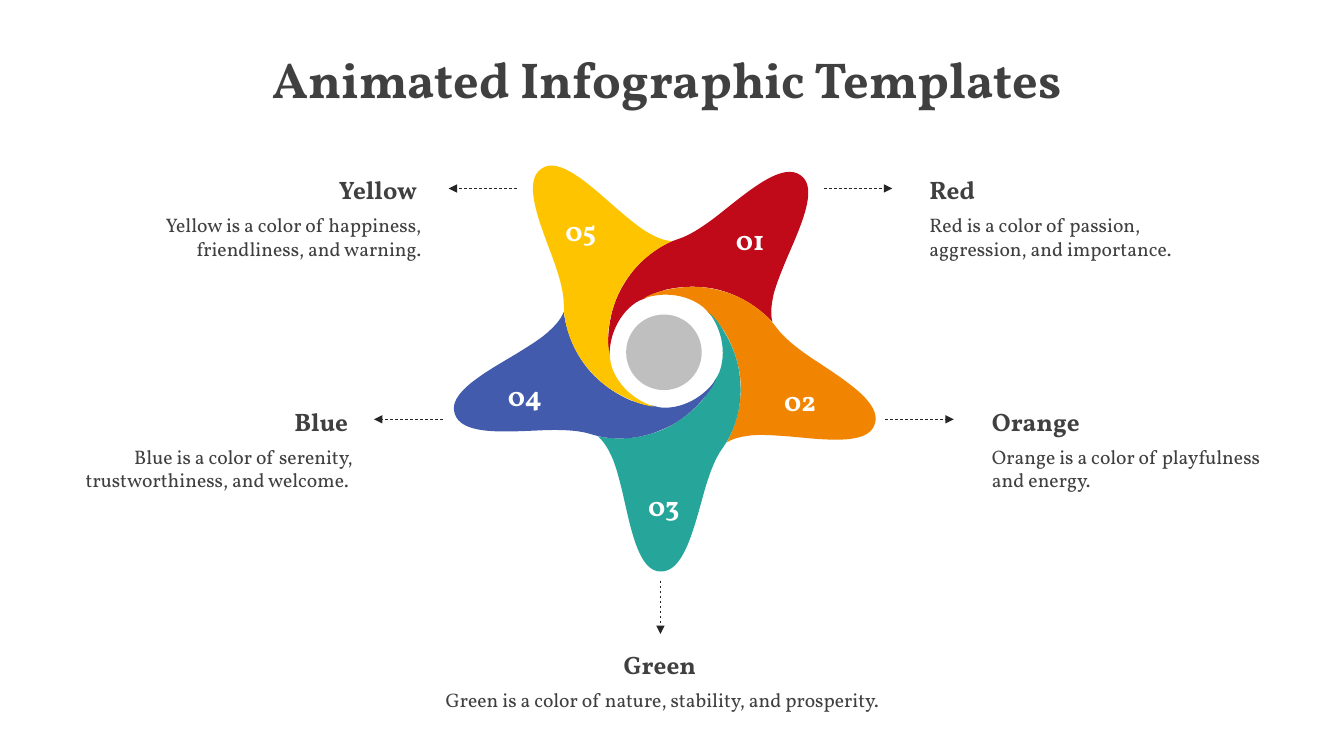
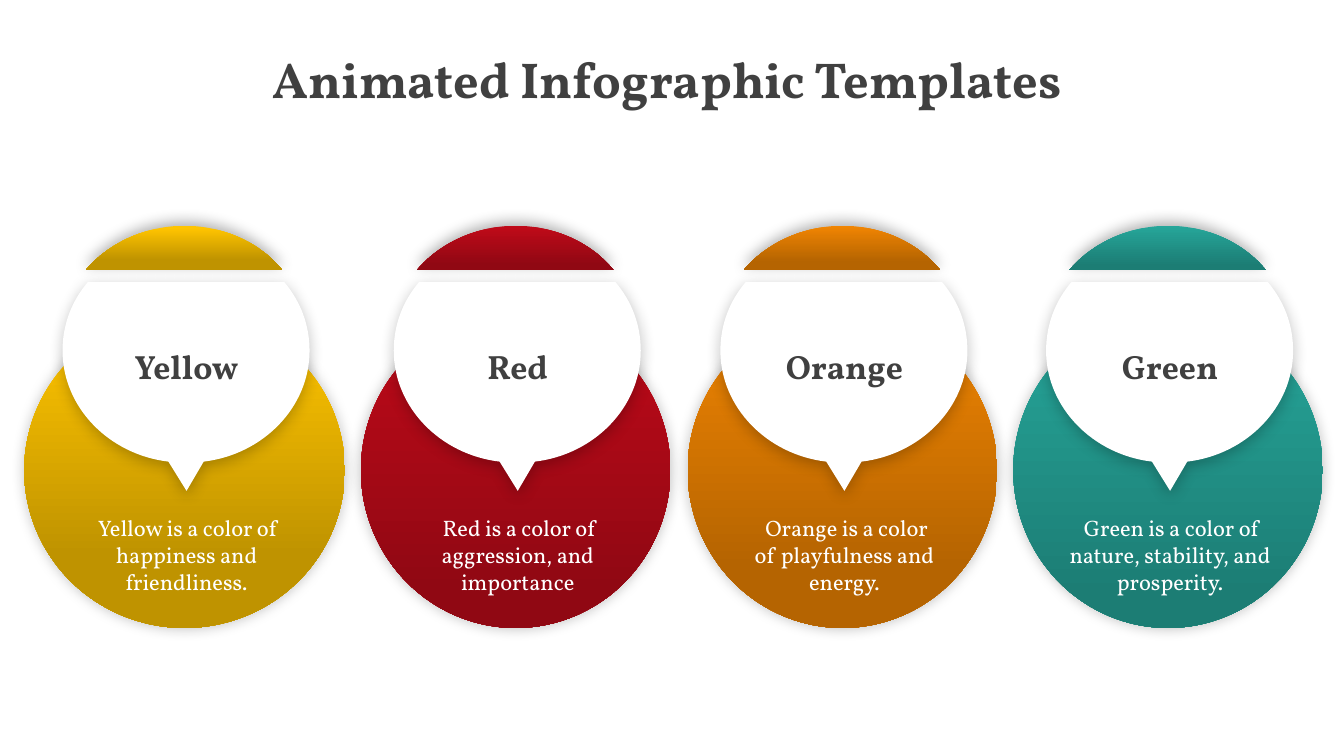
from math import cos, radians, sin

from pptx import Presentation
from pptx.dml.color import RGBColor
from pptx.enum.dml import MSO_LINE
from pptx.enum.shapes import MSO_CONNECTOR, MSO_SHAPE
from pptx.enum.text import MSO_ANCHOR, MSO_AUTO_SIZE, PP_ALIGN
from pptx.oxml.ns import qn
from pptx.oxml.xmlchemy import OxmlElement
from pptx.util import Emu, Inches, Pt

COLUMNS, ROWS = 13.33, 7.5
CELL = Inches(1)
FONT = "Vollkorn"
DARK, ARROW, GRAY, WHITE = "404040", "262626", "BFBFBF", "FFFFFF"
RED, ORANGE, GREEN, BLUE, YELLOW = "C00A19", "F18502", "26A69A", "425BAC", "FFC400"
LEFT, CENTER, RIGHT = PP_ALIGN.LEFT, PP_ALIGN.CENTER, PP_ALIGN.RIGHT
TITLE = "Animated Infographic Templates "

# Star: one petal, pointing down, is turned about the hub in five steps.
HUB = (6.61, 3.48)
PETAL_STEP, TILT = 72, 37.5
PETAL = [
    [(6.55, 5.67)],
    [(6.34, 5.67), (6.26, 5.27), (6.18, 4.91)],
    [(6.15, 4.79), (6.12, 4.66), (6.08, 4.56)],
    [(6.04, 4.47), (6, 4.39), (5.93, 4.33)],
    [(6.15, 4.37), (6.37, 4.35), (6.58, 4.26)],
    [(6.71, 4.2), (6.84, 4.11), (6.95, 3.99)],
    [(6.96, 3.98), (6.98, 3.96), (6.99, 3.94)],
    [(7.03, 3.89), (7.07, 3.83), (7.09, 3.77)],
    [(7.13, 3.72), (7.15, 3.66), (7.16, 3.6)],
    [(7.19, 3.43), (7.14, 3.24), (7.03, 3.1)],
    [(7.11, 3.17), (7.16, 3.25), (7.21, 3.34)],
    [(7.28, 3.47), (7.33, 3.61), (7.34, 3.77)],
    [(7.36, 3.97), (7.32, 4.19), (7.21, 4.38)],
    [(7.18, 4.43), (7.14, 4.48), (7.12, 4.52)],
    [(7.06, 4.63), (7.01, 4.78), (6.97, 4.93)],
    [(6.87, 5.29), (6.77, 5.68), (6.55, 5.67)],
]
# Colour and number box (left, top, width), clockwise from the upper right
PETALS = [
    (RED, (7.2, 2.16, 0.49)),
    (ORANGE, (7.68, 3.76, 0.53)),
    (GREEN, (6.33, 4.8, 0.54)),
    (BLUE, (4.94, 3.71, 0.54)),
    (YELLOW, (5.51, 2.07, 0.53)),
]
# Heading, text, alignment, text box, arrow start, arrow length
CALLOUTS = [
    ("Orange ", "Orange is a color of playfulness and energy.",
     LEFT, (9.74, 3.98, 3.22, 0.96), (8.78, 4.16), (0.68, 0)),
    ("Yellow ", "Yellow is a color of happiness, friendliness, and warning.",
     RIGHT, (1.06, 1.68, 3.22, 0.96), (5.13, 1.87), (-0.68, 0)),
    ("Green ", "Green is a color of nature, stability, and prosperity.",
     CENTER, (3.71, 6.39, 5.72, 0.72), (6.55, 5.76), (0, 0.53)),
    ("Blue ", "Blue is a color of serenity, trustworthiness, and welcome. ",
     RIGHT, (0.38, 3.98, 3.22, 0.96), (4.39, 4.16), (-0.68, 0)),
    ("Red ", "Red is a color of passion, aggression, and importance.",
     LEFT, (9.12, 1.68, 3.22, 0.96), (8.17, 1.87), (0.68, 0)),
]

# Medallions: outlines are measured from the vertical axis of each one.
CAP = [
    [(0.97, 2.68)],
    [(0.75, 2.41), (0.39, 2.24), (0, 2.24)],
    [(-0.4, 2.24), (-0.76, 2.42), (-0.98, 2.68)],
    [(0.97, 2.68)],
]
BUBBLE = [
    [(1.22, 3.48)],
    [(1.22, 3.22), (1.13, 2.99), (0.97, 2.8)],
    [(-0.98, 2.8)],
    [(-1.14, 2.99), (-1.23, 3.22), (-1.23, 3.48)],
    [(-1.23, 4.04), (-0.77, 4.51), (-0.18, 4.58)],
    [(0, 4.87)],
    [(0.17, 4.58)],
    [(0.76, 4.51), (1.22, 4.04), (1.22, 3.48)],
]
FRONT_SHIFT = 0.02
# Heading, text, text width, ball left and width, gradient stops (share, colour)
MEDALLIONS = [
    ("Yellow", " Yellow is a color of happiness and friendliness.",
     2.09, 0.24, 3.18, [(0.05, YELLOW), (0.77, "BF9300")]),
    ("Red", " Red is a color of aggression, and importance",
     2.29, 3.58, 3.07, [(0, RED), (0.88, "900813")]),
    ("Orange", " Orange is a color of playfulness and energy.",
     2.09, 6.82, 3.07, [(0, ORANGE), (0.81, "B56401")]),
    ("Green", " Green is a color of nature, stability, and prosperity.",
     2.29, 10.05, 3.07, [(0, GREEN), (0.9, "1C7D74")]),
]


def cells(count):
    return Emu(round(count * CELL))


def color(hex_string):
    return RGBColor.from_string(hex_string)


def style_paragraph(paragraph, size, hex_color, bold, alignment):
    paragraph.alignment = alignment
    font = paragraph.font
    font.name, font.size, font.bold = FONT, Pt(size), bold
    font.color.rgb = color(hex_color)


def add_text(slide, box, lines, alignment, hex_color=DARK, wrap=True):
    """Add a text box; each line is (text, size, bold)."""
    shape = slide.shapes.add_textbox(*map(cells, box))
    frame = shape.text_frame
    frame.word_wrap = wrap
    frame.auto_size = MSO_AUTO_SIZE.SHAPE_TO_FIT_TEXT
    for index, (text, size, bold) in enumerate(lines):
        paragraph = frame.add_paragraph() if index else frame.paragraphs[0]
        paragraph.text = text
        style_paragraph(paragraph, size, hex_color, bold, alignment)
        if index:
            paragraph.space_before = Pt(6)


def paint(shape, fill):
    """Fill with one colour, or downwards with a list of gradient stops."""
    shape.line.fill.background()
    shape.shadow.inherit = False
    if isinstance(fill, str):
        shape.fill.solid()
        shape.fill.fore_color.rgb = color(fill)
        return
    shape.fill.gradient()
    shape.fill.gradient_angle = 270
    for stop, (position, hex_color) in zip(shape.fill.gradient_stops, fill):
        stop.position = position
        stop.color.rgb = color(hex_color)


def cast_shadow(shape, opacity, blur, distance, angle):
    """Opacity in percent, blur and distance in points, angle in degrees."""
    shadow = OxmlElement("a:outerShdw")
    shadow.set("blurRad", str(Pt(blur)))
    shadow.set("dist", str(Pt(distance)))
    shadow.set("dir", str(angle * 60000))
    shadow.set("algn", "ctr")
    shadow.set("rotWithShape", "0")
    shade = OxmlElement("a:srgbClr")
    shade.set("val", "000000")
    alpha = OxmlElement("a:alpha")
    alpha.set("val", str(opacity * 1000))
    shade.append(alpha)
    shadow.append(shade)
    shape._element.spPr.find(qn("a:effectLst")).append(shadow)


def add_ellipse(slide, box, fill):
    shape = slide.shapes.add_shape(MSO_SHAPE.OVAL, *map(cells, box))
    paint(shape, fill)
    return shape


def turn(point, degrees):
    """Turn a point clockwise about the hub."""
    x, y = point[0] - HUB[0], point[1] - HUB[1]
    c, s = cos(radians(degrees)), sin(radians(degrees))
    return HUB[0] + x * c - y * s, HUB[1] + x * s + y * c


def add_outline(slide, outline, place, fill):
    """Draw segments of one point (line) or three (curve), each moved by place()."""
    points = [tuple(map(cells, place(point))) for segment in outline for point in segment]
    builder = slide.shapes.build_freeform(*points[0])
    builder.add_line_segments(points[1:], close=True)
    shape = builder.convert_to_shape()
    geometry = next(shape._element.iter(qn("a:path")))
    lines = iter(geometry.findall(qn("a:lnTo")))
    for segment in outline[1:]:
        group = [next(lines) for _ in segment]
        if len(group) == 3:
            curve = OxmlElement("a:cubicBezTo")
            group[0].addprevious(curve)
            for line in group:
                curve.append(line[0])
                geometry.remove(line)
    paint(shape, fill)
    return shape


def add_arrow(slide, start, length):
    end = (start[0] + length[0], start[1] + length[1])
    connector = slide.shapes.add_connector(
        MSO_CONNECTOR.STRAIGHT, *map(cells, (*start, *end)))
    connector.line.color.rgb = color(ARROW)
    connector.line.width = Pt(0.5)
    connector.line.dash_style = MSO_LINE.DASH
    head = OxmlElement("a:tailEnd")
    head.set("type", "triangle")
    connector.line._get_or_add_ln().append(head)
    connector._element.spPr.append(OxmlElement("a:effectLst"))


def add_titled_slide(presentation):
    slide = presentation.slides.add_slide(presentation.slide_layouts[5])
    title = slide.shapes.title
    title.left, title.top, title.width, title.height = map(cells, (0, 0.43, COLUMNS, 0.71))
    frame = title.text_frame
    frame.text = TITLE
    frame.auto_size = MSO_AUTO_SIZE.NONE
    frame.vertical_anchor = MSO_ANCHOR.TOP
    style_paragraph(frame.paragraphs[0], 36, DARK, True, CENTER)
    return slide


def add_petal(slide, number, fill, number_box):
    degrees = PETAL_STEP * (number - 3) - TILT
    petal = add_outline(slide, PETAL, lambda point: turn(point, degrees), fill)
    middle = ((petal.left + petal.width / 2) / CELL, (petal.top + petal.height / 2) / CELL)
    x, y = turn(middle, TILT)
    petal.left = cells(x) - petal.width // 2
    petal.top = cells(y) - petal.height // 2
    petal.rotation = TILT
    add_text(slide, (*number_box, 0.44), [(f"{number:02}", 20, True)], LEFT, WHITE, wrap=False)


def add_callout(slide, heading, text, alignment, box, start, length):
    add_arrow(slide, start, length)
    add_text(slide, box, [(heading, 18, True), (text, 14, False)], alignment)


def add_medallion(slide, heading, text, text_width, left, ball_width, stops):
    axis = left + ball_width / 2
    front = axis + FRONT_SHIFT
    ball = add_ellipse(slide, (left, 3.1, ball_width, 3.13), stops)
    cast_shadow(ball, 26, 10, 0, 0)
    cap = add_outline(slide, CAP, lambda point: (axis + point[0], point[1]), stops)
    cast_shadow(cap, 30, 10, 3, 270)
    add_text(slide, (front - text_width / 2, 5.05, text_width, 0.91),
             [(text, 16, False)], CENTER, WHITE)
    bubble = add_outline(slide, BUBBLE, lambda point: (front + point[0], point[1]), WHITE)
    cast_shadow(bubble, 23, 11, 3, 90)
    add_text(slide, (front - 0.82, 3.38, 1.64, 0.5), [(heading, 24, True)], CENTER)


def build_star(presentation):
    slide = add_titled_slide(presentation)
    add_ellipse(slide, (6.21, 3.12, 0.75, 0.75), GRAY)
    for callout in CALLOUTS:
        add_callout(slide, *callout)
    for number, petal in enumerate(PETALS, start=1):
        add_petal(slide, number, *petal)


def build_medallions(presentation):
    slide = add_titled_slide(presentation)
    for medallion in MEDALLIONS:
        add_medallion(slide, *medallion)


def main():
    presentation = Presentation()
    presentation.slide_width, presentation.slide_height = cells(COLUMNS), cells(ROWS)
    build_star(presentation)
    build_medallions(presentation)
    presentation.save("out.pptx")


if __name__ == "__main__":
    main()
